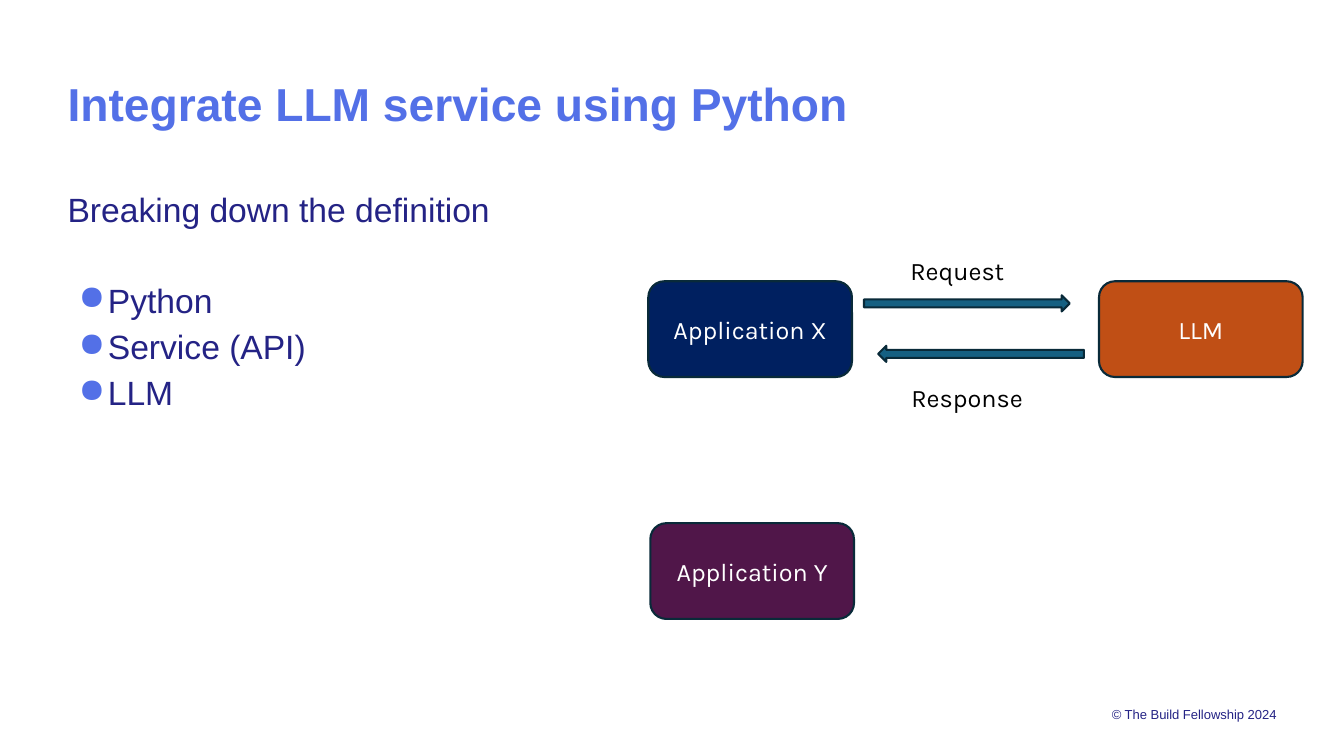
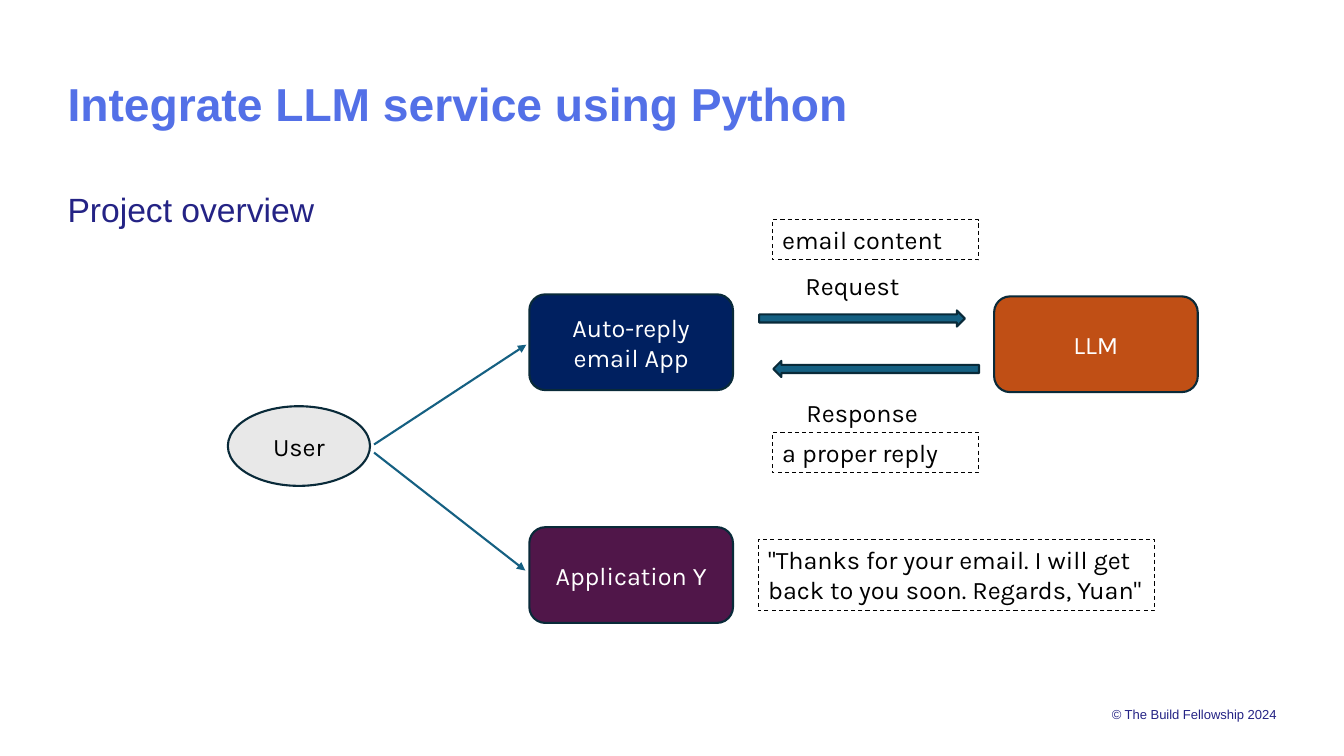
from lxml import etree
from pptx import Presentation
from pptx.dml.color import RGBColor
from pptx.enum.dml import MSO_LINE
from pptx.enum.shapes import MSO_CONNECTOR, MSO_SHAPE
from pptx.enum.text import MSO_ANCHOR, PP_ALIGN
from pptx.oxml.ns import qn
from pptx.util import Inches, Pt

BLUE, INDIGO = "5370E7", "242385"
NAVY, RUST, PLUM, GREY = "002060", "C04F15", "501649", "E8E8E8"
TEAL, EDGE, BLACK, WHITE = "156082", "092A39", "000000", "FFFFFF"
HEAD, BODY = "Arial", "Karla"
LEFT = 0.67
BOX_W, BOX_H = 2.02, 0.95


def color(code):
    return RGBColor.from_string(code)


def place(x, y, w, h):
    return [Inches(n) for n in (x, y, w, h)]


class Deck:
    """Holds the shared style and the current slide."""

    def __init__(self):
        self.prs = Presentation()
        self.prs.slide_width = Inches(13.33)
        self.prs.slide_height = Inches(7.5)
        self.slide = None

    def style(self, para, size, font, code, bold=False):
        for run in para.runs:
            run.font.size = Pt(size)
            run.font.name = font
            run.font.bold = bold
            run.font.color.rgb = color(code)

    def flush(self, frame):
        frame.margin_left = frame.margin_right = 0
        frame.margin_top = frame.margin_bottom = 0
        frame.word_wrap = True

    def start(self, title):
        self.slide = self.prs.slides.add_slide(self.prs.slide_layouts[5])
        # Title
        head = self.slide.shapes.title
        head.left, head.top, head.width, head.height = place(LEFT, 0.47, 8.88, 1.1)
        frame = head.text_frame
        frame.text = title
        self.flush(frame)
        frame.vertical_anchor = MSO_ANCHOR.MIDDLE
        frame.paragraphs[0].alignment = PP_ALIGN.LEFT
        self.style(frame.paragraphs[0], 33, HEAD, BLUE, True)
        # Footer
        foot = self.slide.shapes.add_textbox(*place(LEFT, 6.98, 11.99, 0.21))
        frame = foot.text_frame
        frame.text = "© The Build Fellowship 2024"
        self.flush(frame)
        frame.vertical_anchor = MSO_ANCHOR.MIDDLE
        frame.paragraphs[0].alignment = PP_ALIGN.RIGHT
        self.style(frame.paragraphs[0], 9.3, HEAD, INDIGO)

    def body(self, lead, items, w, h):
        box = self.slide.shapes.add_textbox(*place(LEFT, 1.87, w, h))
        frame = box.text_frame
        self.flush(frame)
        frame.text = lead
        self.style(frame.paragraphs[0], 24, HEAD, INDIGO)
        for num, item in enumerate(items):
            para = frame.add_paragraph()
            para.text = item
            self.bullet(para)
            para.line_spacing = 1.15
            para.space_before = Pt(0 if num else 32)
            self.style(para, 24, HEAD, INDIGO)

    def bullet(self, para):
        props = para._p.get_or_add_pPr()
        props.set("marL", str(Inches(0.4)))
        props.set("indent", str(Inches(-0.29)))
        tint = etree.SubElement(props, qn("a:buClr"))
        etree.SubElement(tint, qn("a:srgbClr")).set("val", BLUE)
        etree.SubElement(props, qn("a:buChar")).set("char", "●")

    def shape(self, kind, x, y, w, h, fill, text="", ink=WHITE):
        item = self.slide.shapes.add_shape(kind, *place(x, y, w, h))
        item.shadow.inherit = False
        item.fill.solid()
        item.fill.fore_color.rgb = color(fill)
        item.line.color.rgb = color(EDGE)
        item.line.width = Pt(1.5)
        if text:
            frame = item.text_frame
            frame.text = text
            frame.word_wrap = True
            frame.vertical_anchor = MSO_ANCHOR.MIDDLE
            frame.paragraphs[0].alignment = PP_ALIGN.CENTER
            self.style(frame.paragraphs[0], 18, BODY, ink)
        return item

    def node(self, x, y, text, fill):
        self.shape(MSO_SHAPE.ROUNDED_RECTANGLE, x, y, BOX_W, BOX_H, fill, text)

    def label(self, x, y, text, w=1.57, h=0.4, dashed=False):
        box = self.slide.shapes.add_textbox(*place(x, y, w, h))
        frame = box.text_frame
        frame.text = text
        frame.word_wrap = True
        self.style(frame.paragraphs[0], 18, BODY, BLACK)
        if dashed:
            box.line.color.rgb = color(BLACK)
            box.line.width = Pt(0.75)
            box.line.dash_style = MSO_LINE.DASH

    def link(self, x1, y1, x2, y2):
        line = self.slide.shapes.add_connector(
            MSO_CONNECTOR.STRAIGHT, *place(x1, y1, x2, y2))
        line.line.color.rgb = color(TEAL)
        line.line.width = Pt(1.5)
        tail = etree.SubElement(line.line._get_or_add_ln(), qn("a:tailEnd"))
        tail.set("type", "triangle")
        etree.SubElement(line._element.spPr, qn("a:effectLst"))

    def exchange(self, x, y):
        """Request and response arrows, ending at the LLM box."""
        arrow = MSO_SHAPE.RIGHT_ARROW
        self.node(x + 2.33, y - 0.14, "LLM", RUST)
        self.shape(arrow, x, y, 2.04, 0.16, TEAL)
        self.shape(arrow, x + 0.14, y + 0.5, 2.04, 0.16, TEAL).rotation = 180
        self.label(x + 0.36, y - 0.45, "Request")
        self.label(x + 0.37, y + 0.81, "Response")


def main():
    deck = Deck()
    title = "Integrate LLM service using Python"

    # Slide 1: definition
    deck.start(title)
    deck.body("Breaking down the definition",
              ["Python", "Service (API)", "LLM"], 4.45, 4.55)
    deck.node(6.43, 2.79, "Application X", NAVY)
    deck.exchange(8.57, 2.93)
    deck.node(6.45, 5.19, "Application Y", PLUM)

    # Slide 2: project overview
    deck.start(title)
    deck.body("Project overview", [], 7.36, 0.6)
    deck.node(5.25, 2.92, "Auto-reply email App", NAVY)
    deck.exchange(7.53, 3.08)
    deck.node(5.25, 5.23, "Application Y", PLUM)

    # User and the two paths
    deck.shape(MSO_SHAPE.OVAL, 2.26, 4.03, 1.41, 0.79, GREY, "User", BLACK)
    deck.link(3.71, 4.41, 5.22, 3.42)
    deck.link(3.71, 4.49, 5.21, 5.66)

    # Message samples
    deck.label(7.66, 2.18, "email content", 2.05, dashed=True)
    deck.label(7.66, 4.29, "a proper reply", 2.05, dashed=True)
    deck.label(7.52, 5.35, '"Thanks for your email. I will get back to you '
               'soon. Regards, Yuan"', 3.93, 0.71, dashed=True)

    deck.prs.save("out.pptx")


if __name__ == "__main__":
    main()
